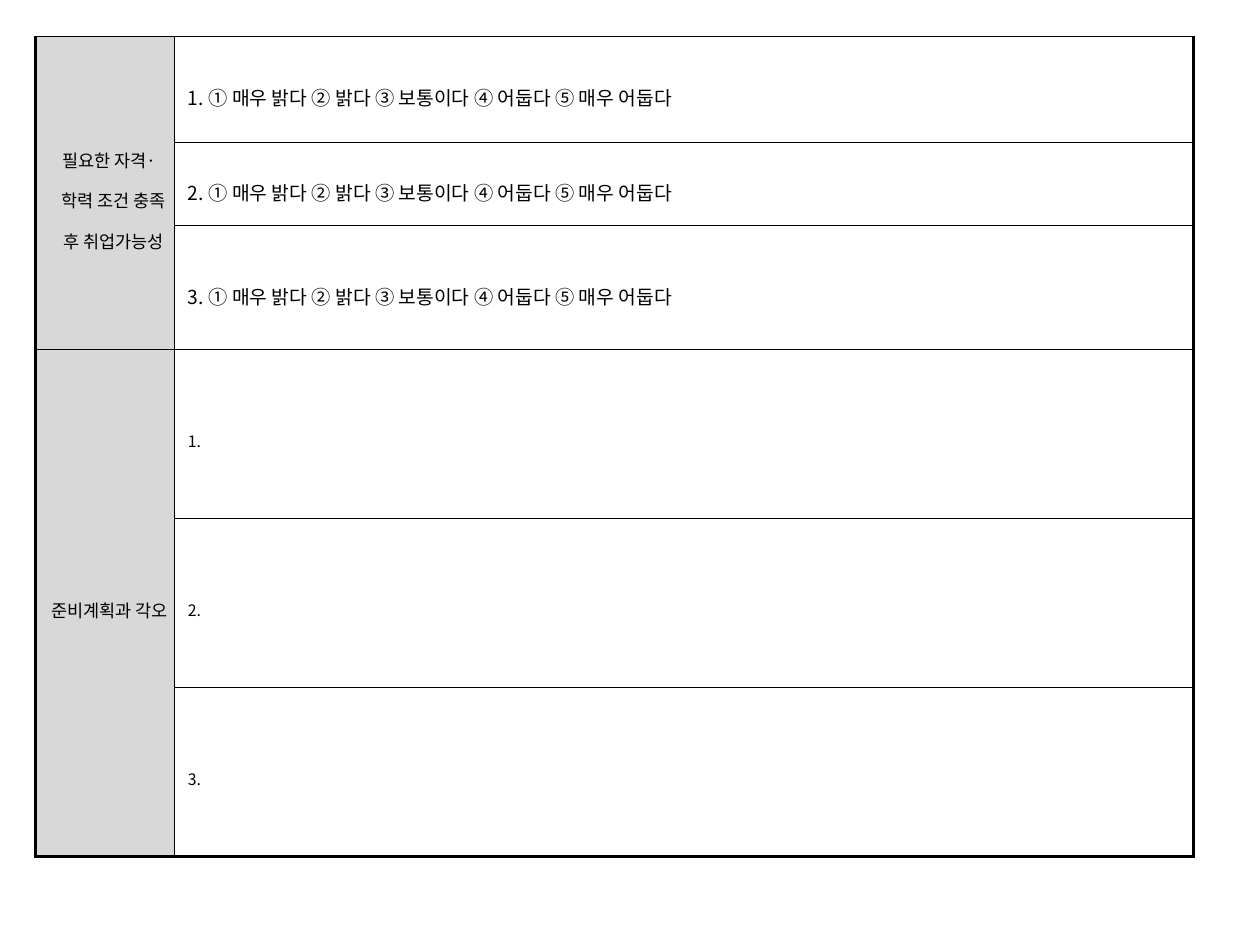
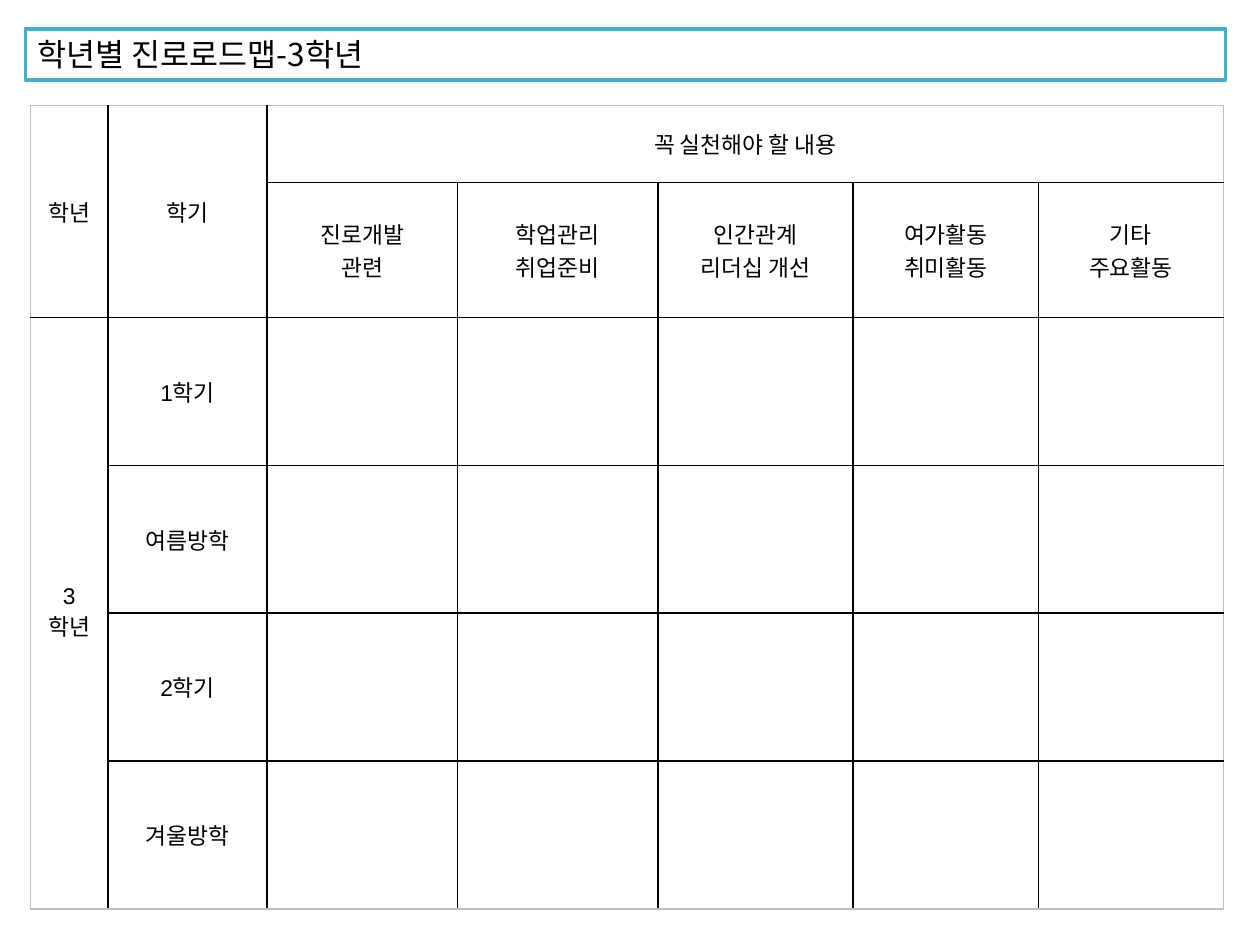
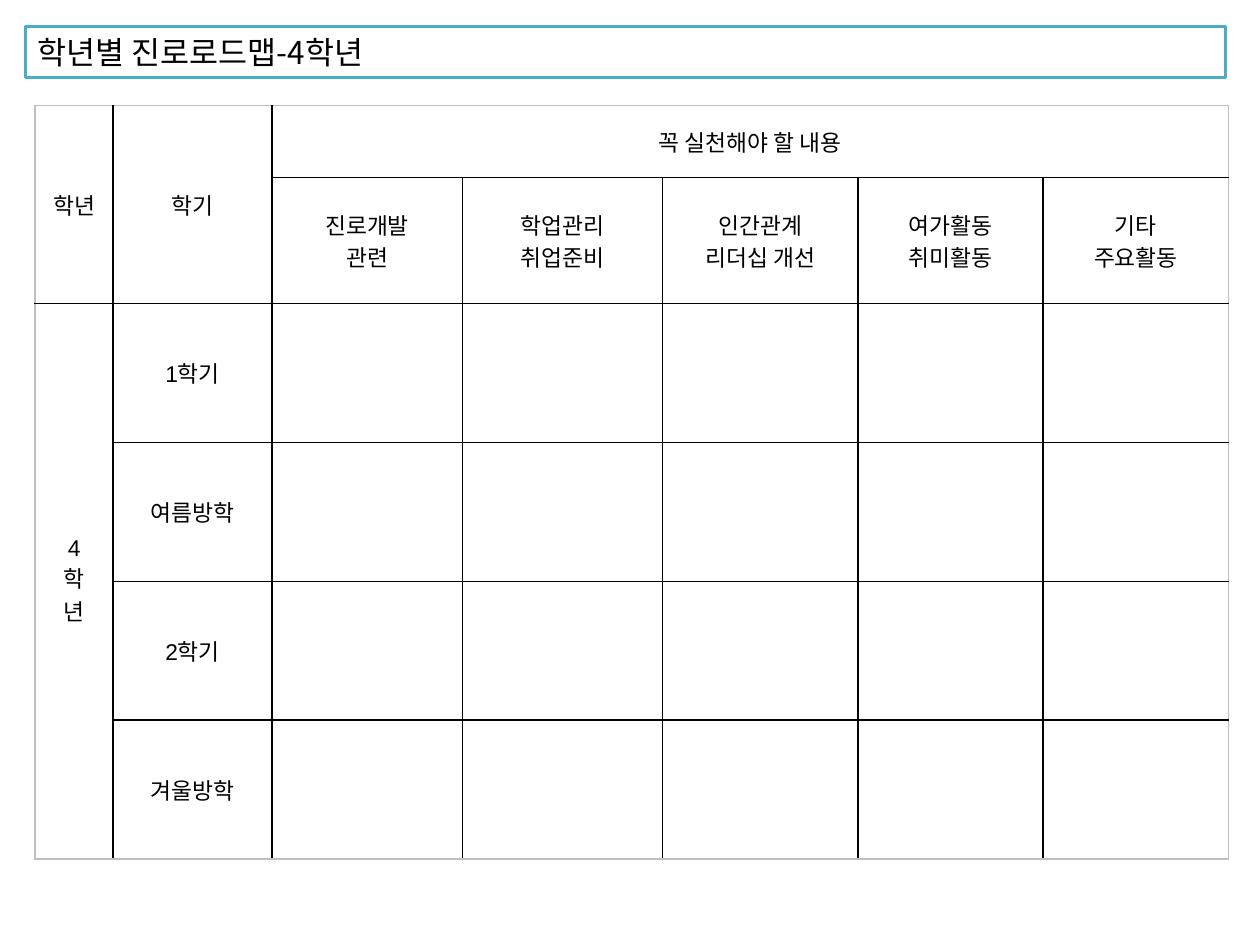
from lxml.etree import SubElement
from pptx import Presentation
from pptx.dml.color import RGBColor
from pptx.enum.text import MSO_ANCHOR, MSO_AUTO_SIZE, PP_ALIGN
from pptx.oxml.ns import qn
from pptx.util import Cm, Pt

BLACK = RGBColor(0x00, 0x00, 0x00)
WHITE = RGBColor(0xFF, 0xFF, 0xFF)
LABEL_GRAY = RGBColor(0xD8, 0xD8, 0xD8)
FRAME_GRAY = RGBColor(0xBF, 0xBF, 0xBF)
TITLE_TEAL = RGBColor(0x4B, 0xAC, 0xC6)
KOREAN_FONT = "Noto Sans CJK KR"
TABLE_FONT = "Arial"


def add_grid(slide, left, top, column_widths, row_heights, texts, merges):
    """Add a plain white table; texts maps (row, column) to cell text."""
    frame = slide.shapes.add_table(
        len(row_heights), len(column_widths), Cm(left), Cm(top),
        Cm(sum(column_widths)), Cm(sum(row_heights)))
    table = frame.table
    table.first_row = False
    table.horz_banding = False
    for column, width in zip(table.columns, column_widths):
        column.width = Cm(width)
    for row, height in zip(table.rows, row_heights):
        row.height = Cm(height)
    for first, last in merges:
        table.cell(*first).merge(table.cell(*last))
    for position, text in texts.items():
        table.cell(*position).text = text
    for cell in table.iter_cells():
        cell.vertical_anchor = MSO_ANCHOR.MIDDLE
    return table


def draw_borders(table, inner, outer):
    """Border every cell; inner and outer give (width, colour) by side."""
    last_row, last_column = len(table.rows), len(table.columns)
    for row in range(last_row):
        for column in range(last_column):
            cell = table.cell(row, column)
            if cell.is_spanned:
                continue
            on_edge = {
                "L": column == 0,
                "R": column + cell.span_width == last_column,
                "T": row == 0,
                "B": row + cell.span_height == last_row,
            }
            properties = cell._tc.get_or_add_tcPr()
            for side, at_edge in on_edge.items():
                width, color = outer[side] if at_edge else inner
                line = SubElement(properties, qn(f"a:ln{side}"), w=str(Pt(width)))
                fill = SubElement(line, qn("a:solidFill"))
                SubElement(fill, qn("a:srgbClr"), val=str(color))
            cell.fill.solid()
            cell.fill.fore_color.rgb = WHITE


presentation = Presentation()
presentation.slide_width = Cm(25.4)
presentation.slide_height = Cm(19.05)
title_layout = presentation.slide_layouts[5]
blank_layout = presentation.slide_layouts[6]

# Job prospects and preparation plan
slide = presentation.slides.add_slide(blank_layout)
outlook = "① 매우 밝다 ② 밝다 ③ 보통이다 ④ 어둡다 ⑤ 매우 어둡다"
texts = {(0, 0): "필요한 자격·학력 조건 충족 후 취업가능성", (3, 0): "준비계획과 각오"}
for number in range(1, 4):
    texts[number - 1, 1] = f"{number}. {outlook}"
    texts[number + 2, 1] = f"{number}."
table = add_grid(slide, 0.71, 0.73, [2.8, 20.55], [2.13, 1.68, 2.13] + [3.41] * 3,
                 texts, [((0, 0), (2, 0)), ((3, 0), (5, 0))])
thin, thick = (0.28, BLACK), (1.98, BLACK)
draw_borders(table, thin, {"L": thick, "R": thick, "T": thin, "B": thick})
for (row, column) in texts:
    cell = table.cell(row, column)
    cell.margin_left = cell.margin_right = Cm(0.1)
    cell.margin_top = cell.margin_bottom = Cm(0.03)
    is_label = column == 0
    if is_label:
        cell.fill.fore_color.rgb = LABEL_GRAY
    paragraph = cell.text_frame.paragraphs[0]
    paragraph.alignment = PP_ALIGN.CENTER if is_label else PP_ALIGN.JUSTIFY
    paragraph.line_spacing = 1.6
    paragraph_properties = paragraph._p.get_or_add_pPr()
    paragraph_properties.set("marL", str(Cm(0.36)))
    paragraph_properties.set("indent", str(Cm(-0.18)))
    font = paragraph.runs[0].font
    font.name = KOREAN_FONT
    font.size = Pt(10 if is_label else 11 if row < 3 else 9)
    font.color.rgb = BLACK

# Roadmaps by school year
activities = ["진로개발\n관련", "학업관리\n취업준비", "인간관계\n리더십 개선",
              "여가활동\n취미활동", "기타\n주요활동"]
terms = ["1학기", "여름방학", "2학기", "겨울방학"]
roadmap_columns = [1.57, 3.2, 3.84, 4.04, 3.94, 3.73, 3.73]
roadmap_merges = [((0, 0), (1, 0)), ((0, 1), (1, 1)), ((0, 2), (0, 6)), ((2, 0), (5, 0))]
roadmaps = [
    ("학년별 진로로드맵-3학년", 0.58, "3학년", 0.61, [1.55, 2.72] + [2.98] * 4),
    ("학년별 진로로드맵-4학년", 0.53, "4\n학\n년", 0.71, [1.45, 2.54] + [2.8] * 4),
]
for title_text, title_top, year, table_left, row_heights in roadmaps:
    slide = presentation.slides.add_slide(title_layout)
    title = slide.shapes.title
    title.left, title.top = Cm(0.51), Cm(title_top)
    title.width, title.height = Cm(24.2), Cm(1.03)
    title.fill.solid()
    title.fill.fore_color.rgb = WHITE
    title.line.color.rgb = TITLE_TEAL
    title.line.width = Pt(2)
    title.text_frame.text = title_text
    title.text_frame.auto_size = MSO_AUTO_SIZE.NONE
    title.text_frame.vertical_anchor = MSO_ANCHOR.MIDDLE
    paragraph = title.text_frame.paragraphs[0]
    paragraph.alignment = PP_ALIGN.LEFT
    font = paragraph.runs[0].font
    font.name = KOREAN_FONT
    font.size = Pt(18)
    font.color.rgb = BLACK

    texts = {(0, 0): "학년", (0, 1): "학기", (0, 2): "꼭 실천해야 할 내용", (2, 0): year}
    for column, activity in enumerate(activities, start=2):
        texts[1, column] = activity
    for row, term in enumerate(terms, start=2):
        texts[row, 1] = term
    table = add_grid(slide, table_left, 2.13, roadmap_columns, row_heights,
                     texts, roadmap_merges)
    draw_borders(table, (1, BLACK), dict.fromkeys("LRTB", (1, FRAME_GRAY)))
    for position in texts:
        for paragraph in table.cell(*position).text_frame.paragraphs:
            paragraph.alignment = PP_ALIGN.CENTER
            font = paragraph.runs[0].font
            font.name = TABLE_FONT
            font.size = Pt(13)
            font.color.rgb = BLACK

presentation.save("out.pptx")
